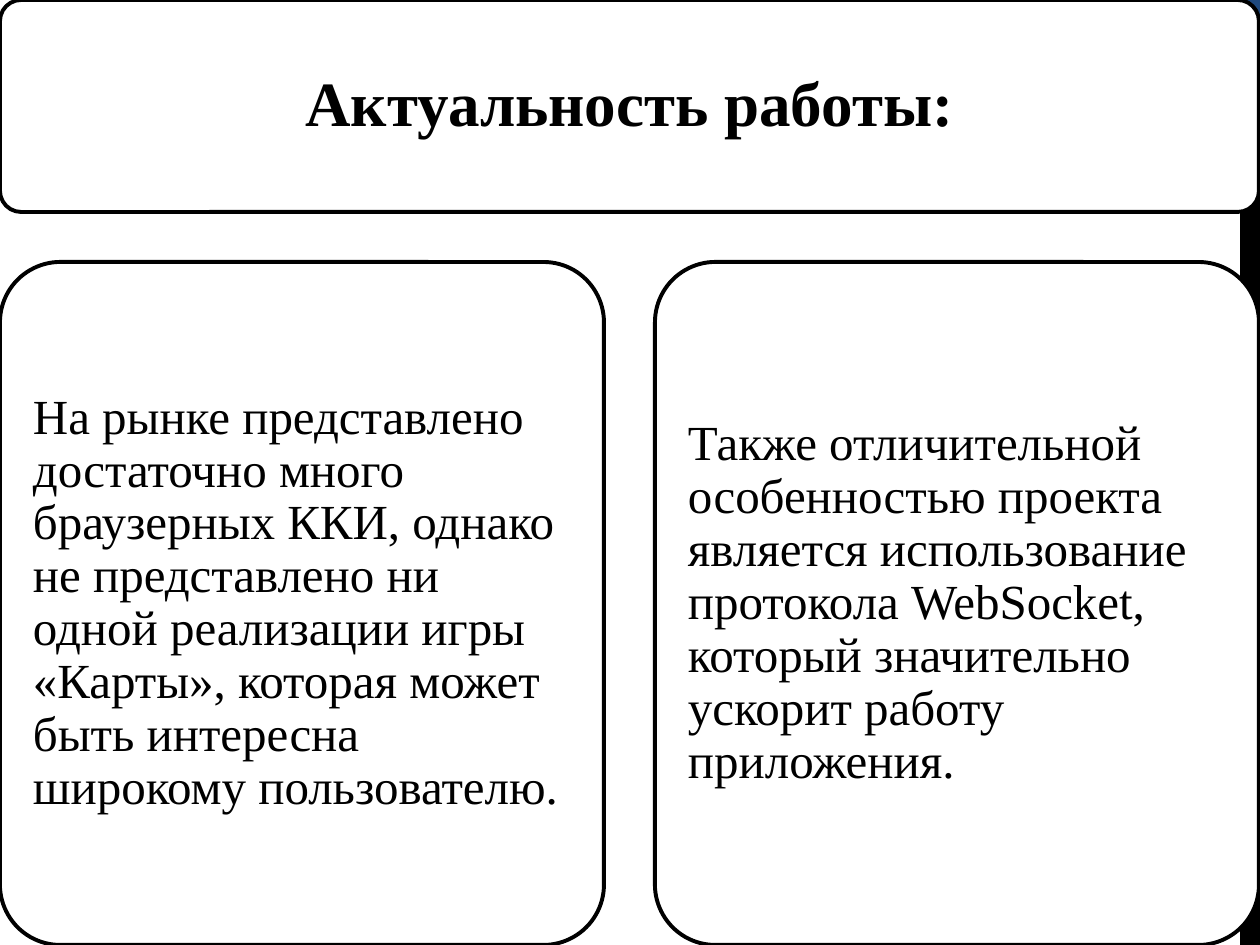
from pptx import Presentation
from pptx.dml.color import RGBColor
from pptx.enum.shapes import MSO_SHAPE
from pptx.enum.text import MSO_ANCHOR, MSO_AUTO_SIZE, PP_ALIGN
from pptx.oxml.ns import qn
from pptx.util import Emu, Pt

PX_PER_INCH = 126
SLIDE_W, SLIDE_H = 1260, 945


def px(n):
    return Emu(round(n * 914400 / PX_PER_INCH))


def rgb(value):
    return RGBColor.from_string(value)


def write(tf, text, size=28, bold=False, align=PP_ALIGN.LEFT,
          font="Times New Roman", color="000000"):
    p = tf.paragraphs[0]
    p.alignment = align
    p.line_spacing = 0.9
    p.space_before = p.space_after = Pt(0)
    # Plain paragraph: no bullet, no hanging indent
    pPr = p._p.get_or_add_pPr()
    pPr.set("marL", "0")
    pPr.set("indent", "0")
    pPr.append(pPr.makeelement(qn("a:buNone"), {}))
    r = p.add_run()
    r.text = text
    r.font.name, r.font.size, r.font.bold = font, Pt(size), bold
    r.font.color.rgb = rgb(color)


class Deck:
    ink, paper, accent = "000000", "FFFFFF", "1F497D"
    border = 2.25

    def __init__(self):
        self.prs = Presentation()
        self.prs.slide_width, self.prs.slide_height = px(SLIDE_W), px(SLIDE_H)
        self.s = self.prs.slides.add_slide(self.prs.slide_layouts[3])

    def shape(self, kind, box, fill):
        sp = self.s.shapes.add_shape(kind, *map(px, box))
        sp.shadow.inherit = False
        sp.fill.solid()
        sp.fill.fore_color.rgb = rgb(fill)
        sp.line.fill.background()
        return sp

    def bar(self, box, fill):
        self.shape(MSO_SHAPE.RECTANGLE, box, fill)

    def card(self, box):
        sp = self.shape(MSO_SHAPE.ROUNDED_RECTANGLE, box, self.paper)
        sp.adjustments[0] = 0.1
        sp.line.color.rgb = rgb(self.ink)
        sp.line.width = Pt(self.border)

    def text_card(self, idx, box, text, margin, inset, **fmt):
        self.card(box)
        x, y, w, h = box
        sp = self.s.placeholders[idx]
        sp.left, sp.top = px(x + margin), px(y + margin)
        sp.width, sp.height = px(w - 2 * margin), px(h - 2 * margin)
        self.s.shapes._spTree.append(sp._element)  # in front of its card
        tf = sp.text_frame
        tf.word_wrap = True
        tf.auto_size = MSO_AUTO_SIZE.NONE
        tf.vertical_anchor = MSO_ANCHOR.MIDDLE
        tf.margin_left = tf.margin_right = px(inset)
        tf.margin_top = tf.margin_bottom = px(inset)
        write(tf, text, **fmt)


def main():
    deck = Deck()

    # Side strip
    strip_x, strip_split = 1240, 189
    strip_w = SLIDE_W - strip_x
    deck.bar((strip_x, 0, strip_w, strip_split), deck.accent)
    deck.bar((strip_x, strip_split, strip_w, SLIDE_H - strip_split), deck.ink)

    # Title
    full_w = 1259
    deck.text_card(0, (0, 0, full_w, 212), "Актуальность работы:",
                   margin=6, inset=19, size=36, bold=True,
                   align=PP_ALIGN.CENTER)

    # Two columns of equal width
    top, gap = 262, 51
    col_w = (full_w - gap) // 2
    columns = [
        "На рынке представлено достаточно много браузерных ККИ, однако "
        "не представлено ни одной реализации игры «Карты», которая может "
        "быть интересна широкому пользователю.",
        "Также отличительной особенностью проекта является использование "
        "протокола WebSocket, который значительно ускорит работу приложения.",
    ]
    for i, text in enumerate(columns):
        box = (i * (col_w + gap), top, col_w, SLIDE_H - top)
        deck.text_card(i + 1, box, text, margin=18, inset=15)

    deck.prs.save("out.pptx")


if __name__ == "__main__":
    main()
